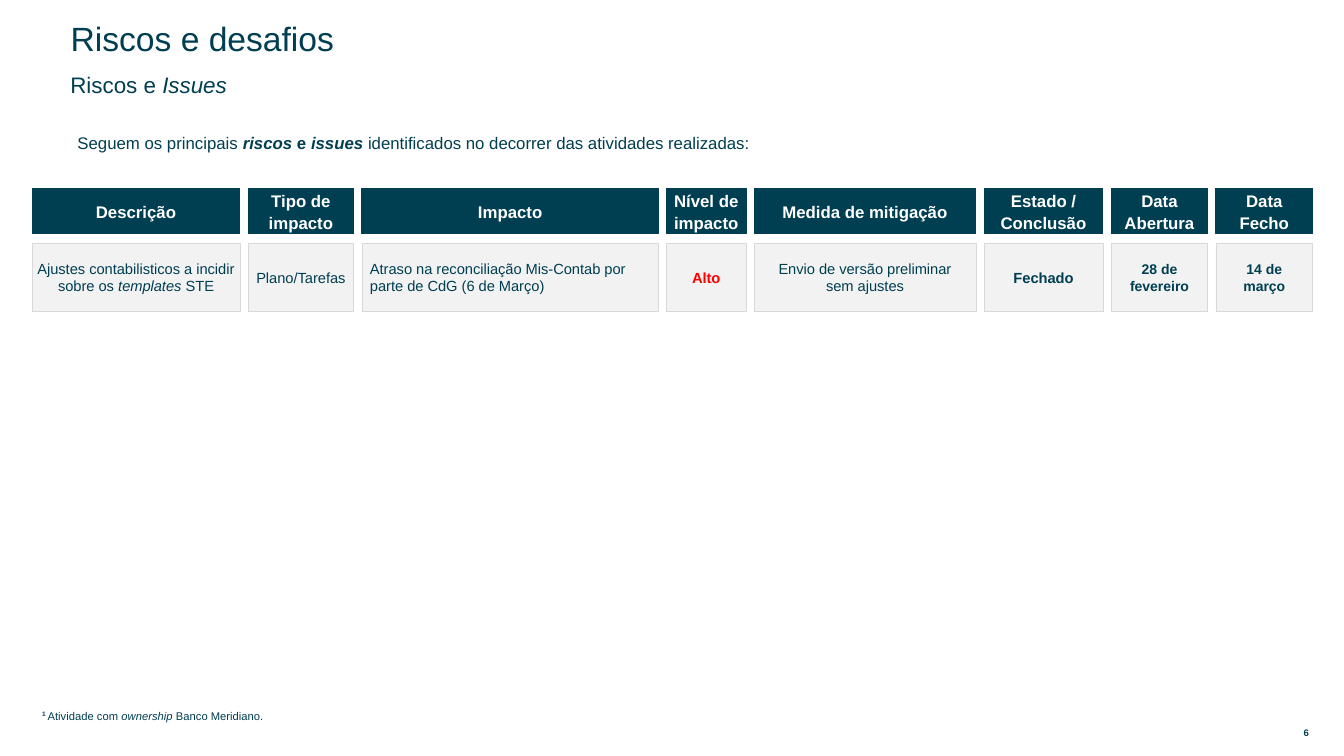
from pptx import Presentation
from pptx.dml.color import RGBColor
from pptx.enum import shapes, text
from pptx.util import Inches, Pt

COLORS = {"petrol": "003E51", "white": "FFFFFF", "cell": "F2F2F2",
          "border": "D9D9D9", "alert": "FF0000"}

# Paragraphs are lists of (text, style) runs; style letters: b bold, i italic, s superscript
TITLE = [[("Riscos e desafios", "")]]
SUBTITLE = [[("Riscos e ", ""), ("Issues", "i")]]
INTRO = [[("Seguem os principais ", ""), ("riscos ", "bi"), ("e ", "b"), ("issues ", "bi"),
          ("identificados no decorrer das atividades realizadas:", "")]]
FOOTNOTE = [[("1 ", "bs"), ("Atividade com ", ""), ("ownership", "i"),
             (" Banco Meridiano.", "")]]
PAGE = [[("6", "b")]]

# Width, heading, cell paragraphs, cell format
COLUMNS = [
    (2.06, "Descrição", [[("Ajustes contabilisticos a incidir sobre os ", ""),
                          ("templates", "i"), (" STE", "")]], {}),
    (1.05, "Tipo de impacto", [[("Plano/Tarefas", "")]], {"spacing": 1.1}),
    (2.94, "Impacto",
     [[("Atraso na reconciliação Mis-Contab por parte de CdG (6 de Março)", "")]],
     {"align": "LEFT", "inset": (0.08, 0.04)}),
    (0.79, "Nível de impacto", [[("Alto", "b")]], {"color": "alert", "inset": (0, 0)}),
    (2.20, "Medida de mitigação", [[("Envio de versão preliminar sem ajustes", "")]],
     {"inset": (0.12, 0.04)}),
    (1.18, "Estado / Conclusão", [[("Fechado", "b")]], {"inset": (0.12, 0.04)}),
    (0.96, "Data Abertura", [[("28 de", "b")], [("fevereiro", "b")]],
     {"size": 10, "inset": (0.12, 0.04)}),
    (0.96, "Data Fecho", [[("14 de março", "b")]], {"size": 10, "inset": (0.12, 0.04)}),
]
LEFT, GAP = 0.32, 0.08
HEAD_TOP, HEAD_HEIGHT = 1.87, 0.45
CELL_TOP, CELL_HEIGHT = 2.41, 0.68


def rgb(name):
    return RGBColor.from_string(COLORS[name])


def write(sp, paragraphs, size=10.5, color="petrol", align="LEFT", anchor="MIDDLE",
          inset=(0.1, 0.05), spacing=1.0):
    tf = sp.text_frame
    tf.word_wrap = True
    tf.auto_size = text.MSO_AUTO_SIZE.NONE
    tf.vertical_anchor = getattr(text.MSO_ANCHOR, anchor)
    tf.margin_left = tf.margin_right = Inches(inset[0])
    tf.margin_top = tf.margin_bottom = Inches(inset[1])
    for i, runs in enumerate(paragraphs):
        p = tf.add_paragraph() if i else tf.paragraphs[0]
        p.alignment = getattr(text.PP_ALIGN, align)
        p.line_spacing = spacing
        for words, style in runs:
            r = p.add_run()
            r.text = words
            r.font.name, r.font.size = "Arial", Pt(size)
            r.font.bold, r.font.italic = "b" in style, "i" in style
            r.font.color.rgb = rgb(color)
            if "s" in style:
                r.font._element.set("baseline", "30000")


def add_text(s, box, paragraphs, **fmt):
    write(s.shapes.add_textbox(*map(Inches, box)), paragraphs, **fmt)


def add_box(s, box, paragraphs, fill, line, weight, **fmt):
    sp = s.shapes.add_shape(shapes.MSO_SHAPE.RECTANGLE, *map(Inches, box))
    sp.shadow.inherit = False
    sp.fill.solid()
    sp.fill.fore_color.rgb = rgb(fill)
    sp.line.color.rgb = rgb(line)
    sp.line.width = Pt(weight)
    write(sp, paragraphs, **{"align": "CENTER", "inset": (0.04, 0.04), **fmt})


def main():
    prs = Presentation()
    prs.slide_width, prs.slide_height = Inches(13.33), Inches(7.5)
    s = prs.slides.add_slide(prs.slide_layouts[5])

    title = s.shapes.title
    title.left, title.top, title.width, title.height = map(Inches, (0.6, 0.27, 7.95, 0.26))
    write(title, TITLE, size=24, spacing=0.9)
    add_text(s, (0.6, 0.73, 7.66, 0.26), SUBTITLE, size=16, spacing=0.9)
    add_text(s, (0.67, 1.27, 12.15, 0.44), INTRO, size=12, anchor="TOP")

    x = LEFT
    for width, heading, cell, fmt in COLUMNS:
        add_box(s, (x, HEAD_TOP, width, HEAD_HEIGHT), [[(heading, "b")]],
                "petrol", "petrol", 0.75, size=12, color="white", spacing=1.1)
        add_box(s, (x, CELL_TOP, width, CELL_HEIGHT), cell, "cell", "border", 0.5, **fmt)
        x += width + GAP

    add_text(s, (LEFT, 6.97, 11.76, 0.25), FOOTNOTE, size=8, anchor="TOP", spacing=1.1)
    add_text(s, (12.73, 7.19, 0.45, 0.16), PAGE, size=6.8, align="CENTER",
             inset=(0.06, 0.03))
    prs.save("out.pptx")


if __name__ == "__main__":
    main()
